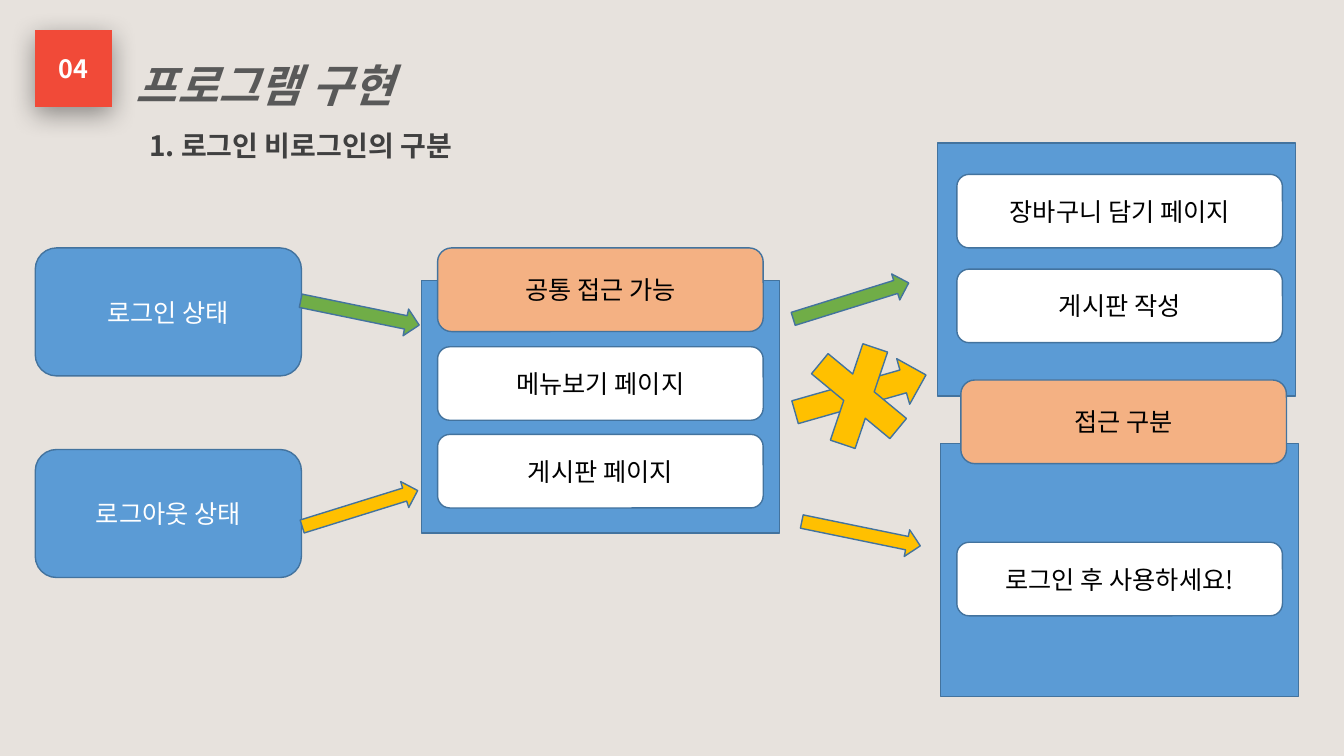
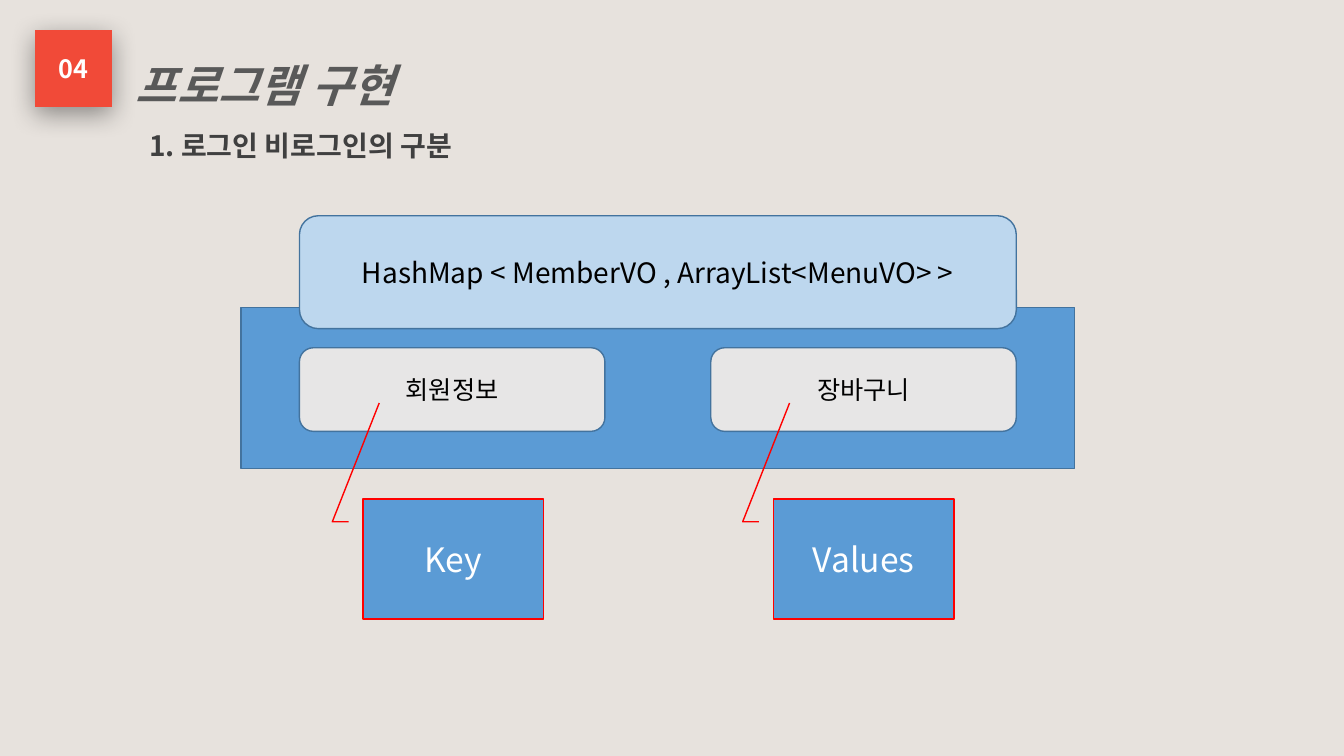
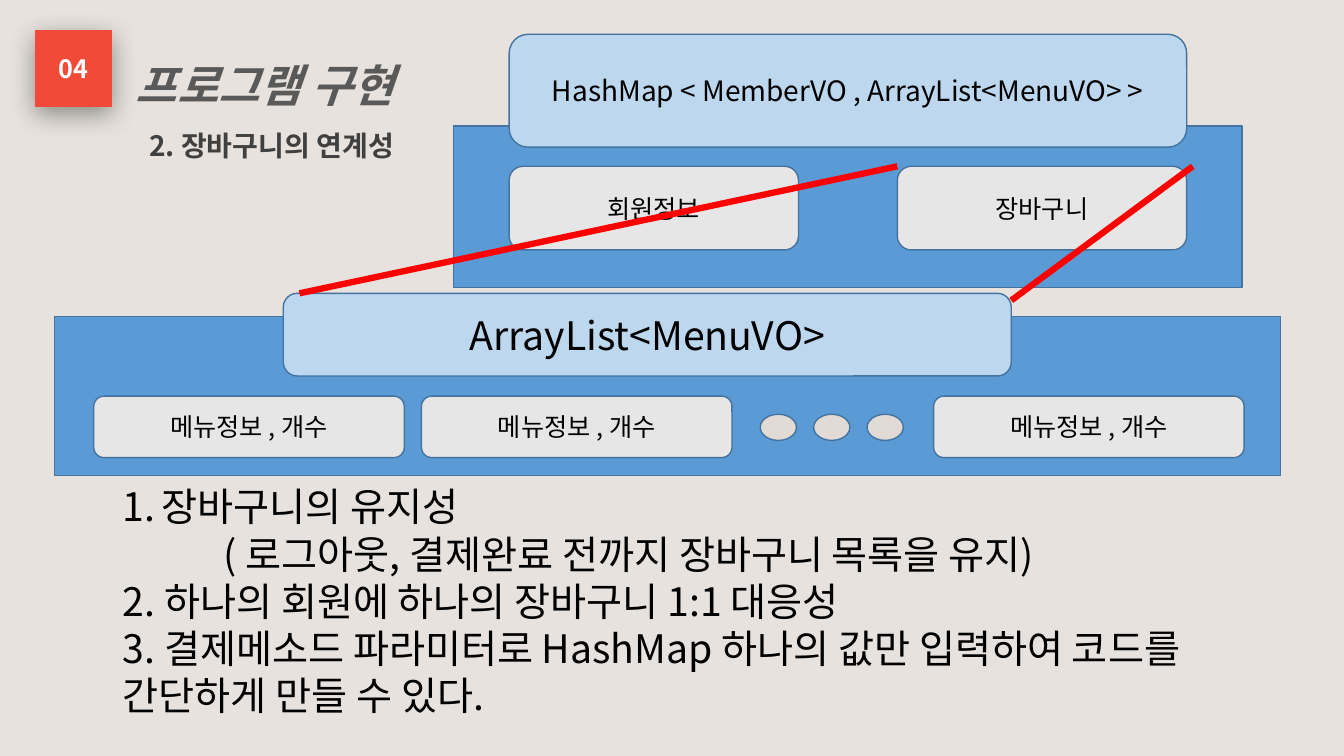
"""Build three slides on login states and the shopping cart."""
from lxml import etree
from pptx import Presentation
from pptx.dml.color import RGBColor
from pptx.enum.shapes import MSO_CONNECTOR, MSO_SHAPE
from pptx.enum.text import MSO_ANCHOR, MSO_AUTO_SIZE, PP_ALIGN
from pptx.oxml.ns import qn
from pptx.util import Inches, Pt

RECT = MSO_SHAPE.RECTANGLE
ROUND = MSO_SHAPE.ROUNDED_RECTANGLE
ARROW = MSO_SHAPE.RIGHT_ARROW
CROSS = MSO_SHAPE.MATH_MULTIPLY
CALLOUT = MSO_SHAPE.LINE_CALLOUT_2
DOT = MSO_SHAPE.FLOWCHART_CONNECTOR
STRAIGHT = MSO_CONNECTOR.STRAIGHT
MIDDLE = MSO_ANCHOR.MIDDLE
GROW = MSO_AUTO_SIZE.SHAPE_TO_FIT_TEXT
CENTER = PP_ALIGN.CENTER

FONT = "Noto Sans CJK KR"
COLORS = {
    "back": "E7E2DD", "badge": "F14A38", "title": "595959", "subtitle": "404040",
    "blue": "5B9BD5", "edge": "43739E", "pale": "BDD7EE", "gray": "E7E6E6",
    "orange": "F4B183", "green": "70AD47", "yellow": "FFC000", "dot": "E2DBD5",
    "red": "FF0000", "white": "FFFFFF", "black": "000000",
}


def rgb(name):
    return RGBColor.from_string(COLORS[name])


class Deck:
    def __init__(self):
        self.prs = Presentation()
        self.prs.slide_width, self.prs.slide_height = Inches(13.33), Inches(7.5)
        fill = self.prs.slide_master.background.fill
        fill.solid()
        fill.fore_color.rgb = rgb("back")

    def slide(self, subtitle):
        self.s = self.prs.slides.add_slide(self.prs.slide_layouts[6])
        badge = self.shape(RECT, 0.35, 0.3, 0.76, 0.76, "badge", "04",
                           color="white", line=None, bold=True)
        self.shadow(badge)
        self.text(1.25, 0.26, 6.65, 0.91, ["프로그램 구현"], 32, "title",
                  spacing=1.5, bold=True, italic=True)
        self.text(1.38, 1.06, 3.92, 0.61, [subtitle], 20, "subtitle",
                  spacing=1.5, bold=True)

    def shadow(self, sp):
        effects = sp._element.spPr.find(qn("a:effectLst"))
        outer = etree.SubElement(effects, qn("a:outerShdw"), blurRad=str(Pt(19)),
                                 dist=str(Pt(5)), dir="5400000", rotWithShape="0")
        color = etree.SubElement(outer, qn("a:srgbClr"), val=COLORS["black"])
        etree.SubElement(color, qn("a:alpha"), val="40000")

    def style(self, p, size, color, bold=False, italic=False):
        font = p.font
        font.name, font.size = FONT, Pt(size)
        font.bold, font.italic = bold, italic
        font.color.rgb = rgb(color)
        props = p._p.pPr.find(qn("a:defRPr"))
        etree.SubElement(props, qn("a:ea"), typeface=FONT)

    def shape(self, kind, x, y, w, h, fill, text="", size=18, color="black",
              line="edge", bold=False, rotation=0):
        sp = self.s.shapes.add_shape(kind, Inches(x), Inches(y), Inches(w), Inches(h))
        sp.shadow.inherit = False
        sp.rotation = rotation
        sp.fill.solid()
        sp.fill.fore_color.rgb = rgb(fill)
        if line:
            sp.line.color.rgb = rgb(line)
            sp.line.width = Pt(1)
        else:
            sp.line.fill.background()
        if text:
            tf = sp.text_frame
            tf.word_wrap, tf.vertical_anchor = True, MIDDLE
            p = tf.paragraphs[0]
            p.text, p.alignment = text, CENTER
            self.style(p, size, color, bold)
        return sp

    def text(self, x, y, w, h, lines, size, color, spacing=None, bold=False, italic=False):
        box = self.s.shapes.add_textbox(Inches(x), Inches(y), Inches(w), Inches(h))
        tf = box.text_frame
        tf.word_wrap, tf.auto_size = True, GROW
        for i, line in enumerate(lines):
            p = tf.add_paragraph() if i else tf.paragraphs[0]
            p.text = line
            if spacing:
                p.line_spacing = spacing
            self.style(p, size, color, bold, italic)
        return tf.paragraphs

    def indent(self, p, left, first=0, numbered=False):
        props = p._p.get_or_add_pPr()
        props.set("marL", str(Inches(left)))
        props.set("indent", str(Inches(first)))
        if numbered:
            number = etree.Element(qn("a:buAutoNum"), type="arabicPeriod")
            props.find(qn("a:defRPr")).addprevious(number)

    def arrow(self, x, y, fill, rotation, w=1.2, h=0.27):
        self.shape(ARROW, x, y, w, h, fill, rotation=rotation)

    def panel(self, x, y):
        self.shape(RECT, x, y, 3.55, 2.51, "blue")

    def page(self, x, y, text):
        self.shape(ROUND, x, y, 3.23, 0.73, "white", text)

    def heading(self, x, y, text):
        self.shape(ROUND, x, y, 3.23, 0.83, "orange", text)

    def hash_map(self, x, y, w, margin, item_w):
        self.shape(RECT, x - margin, y + 0.91, w + 2 * margin, 1.6, "blue")
        for left, text in ((x, "회원정보"), (x + w - item_w, "장바구니")):
            self.shape(ROUND, left, y + 1.31, item_w, 0.83, "gray", text)
        self.shape(ROUND, x, y, w, 1.12, "pale",
                   "HashMap < MemberVO , ArrayList<MenuVO> >", 20)

    def callout(self, x, y, text):
        sp = self.shape(CALLOUT, x, y, 1.79, 1.19, "blue", text, 24, "white", "red")
        for i, value in enumerate((0.19, -0.08, 0.19, -0.17, -0.8, 0.09)):
            sp.adjustments[i] = value

    def line(self, x1, y1, x2, y2):
        cn = self.s.shapes.add_connector(STRAIGHT, Inches(x1), Inches(y1),
                                         Inches(x2), Inches(y2))
        cn.line.color.rgb = rgb("red")
        cn.line.width = Pt(4.5)
        etree.SubElement(cn._element.spPr, qn("a:effectLst"))


def access_slide(deck):
    deck.slide("1. 로그인 비로그인의 구분")
    for y, state in ((2.46, "로그인 상태"), (4.46, "로그아웃 상태")):
        deck.shape(ROUND, 0.35, y, 2.64, 1.27, "blue", state, color="white")

    deck.panel(4.18, 2.78)
    deck.arrow(2.97, 2.97, "green", 11.6)
    deck.arrow(2.97, 4.91, "yellow", 342.7)
    deck.heading(4.34, 2.46, "공통 접근 가능")
    deck.page(4.34, 3.44, "메뉴보기 페이지")
    deck.page(4.34, 4.31, "게시판 페이지")

    deck.arrow(7.86, 3.67, "yellow", 344.1, 1.35, 0.47)
    deck.shape(CROSS, 7.97, 3.13, 1.1, 1.6, "yellow", rotation=344.1)
    deck.arrow(7.84, 2.85, "green", 342.7)
    deck.panel(9.3, 1.42)
    deck.page(9.49, 1.73, "장바구니 담기 페이지")
    deck.page(9.49, 2.67, "게시판 작성")

    deck.arrow(7.94, 5.16, "yellow", 11.6)
    deck.panel(9.33, 4.4)
    deck.page(9.49, 5.38, "로그인 후 사용하세요!")
    deck.heading(9.53, 3.77, "접근 구분")


def map_slide(deck):
    deck.slide("1. 로그인 비로그인의 구분")
    deck.hash_map(2.97, 2.14, 7.11, 0.58, 3.03)
    deck.callout(3.6, 4.95, "Key")
    deck.callout(7.67, 4.95, "Values")


def cart_slide(deck):
    deck.slide("2. 장바구니의 연계성")
    deck.hash_map(5.05, 0.34, 6.72, 0.55, 2.87)
    deck.shape(RECT, 0.54, 3.14, 12.16, 1.58, "blue")
    deck.shape(ROUND, 2.81, 2.91, 7.22, 0.82, "pale", "ArrayList<MenuVO>", 28)
    for x in (0.93, 4.18, 9.26):
        deck.shape(ROUND, x, 3.93, 3.08, 0.61, "gray", "메뉴정보 , 개수")
    for i in range(3):
        deck.shape(DOT, 7.54 + 0.53 * i, 4.11, 0.36, 0.26, "dot")
    notes = deck.text(1.12, 4.74, 10.71, 2.46, [
        "장바구니의 유지성",
        "( 로그아웃, 결제완료 전까지 장바구니 목록을 유지)",
        "2. 하나의 회원에 하나의 장바구니 1:1 대응성",
        "3. 결제메소드 파라미터로 HashMap 하나의 값만 입력하여 코드를 간단하게 만들 수 있다.",
    ], 28, "black")
    deck.indent(notes[0], 0.38, -0.38, numbered=True)
    deck.indent(notes[1], 1)
    deck.line(8.9, 1.65, 2.97, 2.91)
    deck.line(11.83, 1.65, 10.03, 2.98)


def main():
    deck = Deck()
    access_slide(deck)
    map_slide(deck)
    cart_slide(deck)
    deck.prs.save("out.pptx")


if __name__ == "__main__":
    main()
